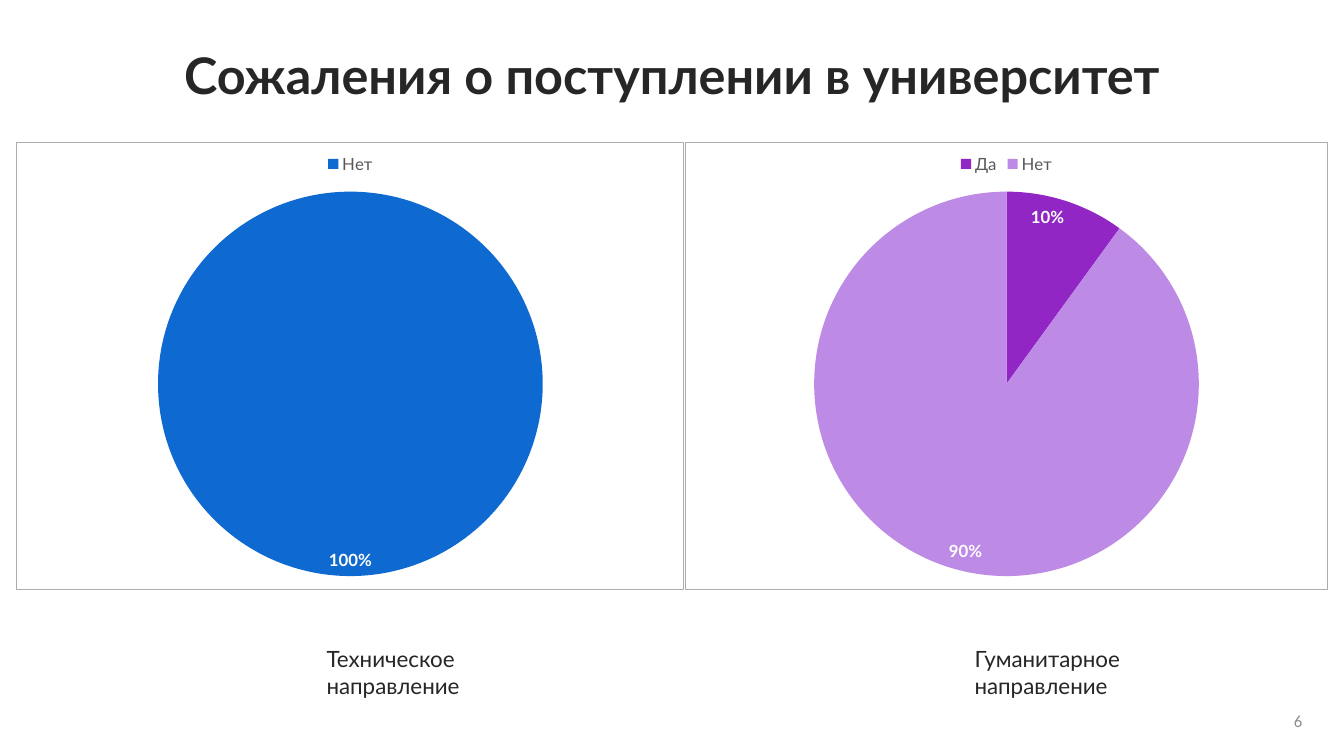
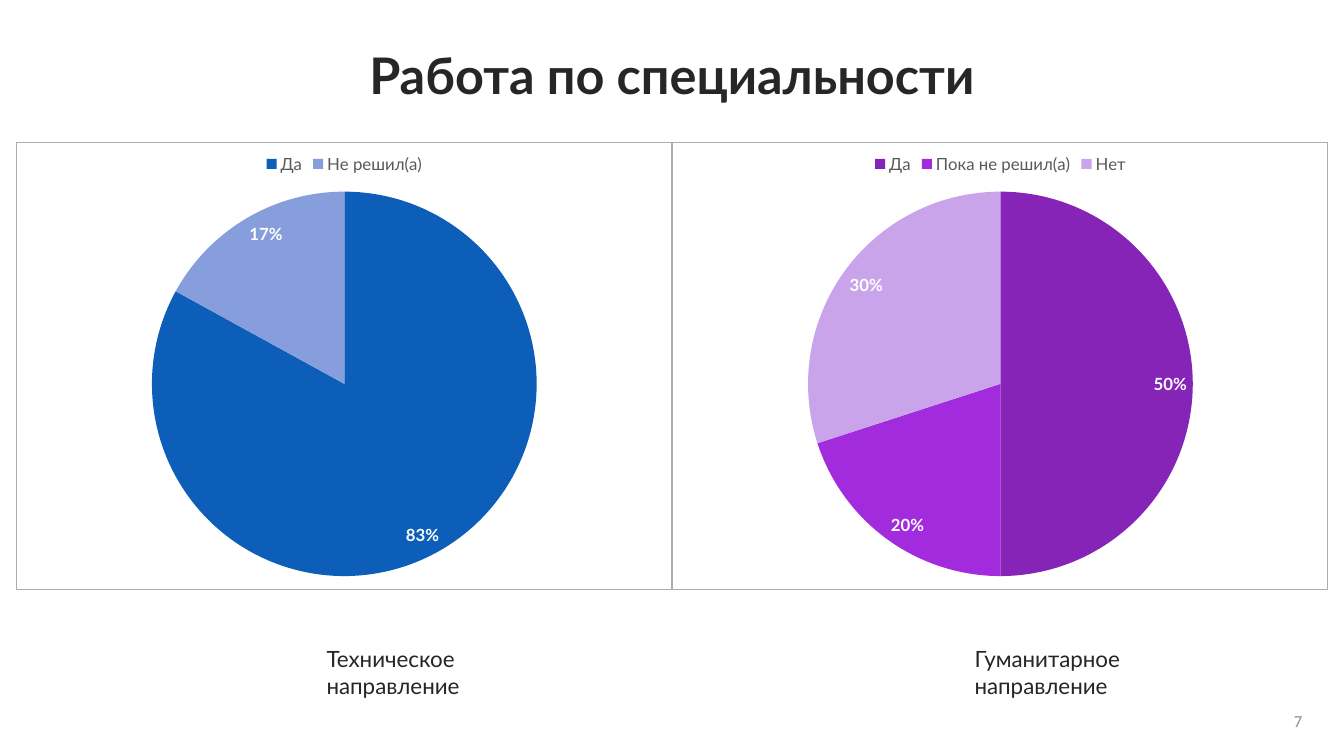
from lxml import etree
from pptx import Presentation
from pptx.chart.data import CategoryChartData
from pptx.dml.color import RGBColor
from pptx.enum.chart import XL_CHART_TYPE as ChartType
from pptx.enum.chart import XL_LABEL_POSITION as LabelPos
from pptx.enum.chart import XL_LEGEND_POSITION as LegendPos
from pptx.enum.text import MSO_ANCHOR as Anchor
from pptx.enum.text import PP_ALIGN as Align
from pptx.oxml import parse_xml
from pptx.oxml.ns import nsdecls, qn
from pptx.util import Cm, Pt

COLORS = {
    "ink": "252625", "number": "8C8C8C", "legend": "595959", "label": "FFFFFF",
    "base": "000000", "frame": "AFABAB",
    "blue": "0E6AD1", "deep blue": "0C5EB9", "pale blue": "879EDD",
    "purple": "9126C5", "soft purple": "BD8AE6",
    "deep purple": "8724B8", "bright purple": "A32BDE", "pale purple": "CAA4EA",
}
TITLE = {"name": "Lato", "size": Pt(36), "bold": True, "color": "ink"}
CAPTION = {"name": "Lato", "size": Pt(16), "color": "ink"}
NUMBER = {"name": "Calibri", "size": Pt(12), "color": "number"}
CHART_TEXT = {"name": "Lato", "size": Pt(10), "color": "base"}
LEGEND = {"name": "Lato", "size": Pt(12), "color": "legend"}
LABEL = {"name": "Lato", "size": Pt(12), "bold": True, "color": "label"}

SLIDE_W, SLIDE_H = 33.87, 19.05
TITLE_BOX = (0, 1.17, SLIDE_W, 1.8)
NUMBER_BOX = (31.37, 17.65, 1.7, 1.02)
CHARTS_BOX = (0.41, 3.58, 33.07, 11.3)
CAPTIONS = [("Техническое направление", (7.98, 16.13, 5.87, 1.63)),
            ("Гуманитарное направление", (24.31, 16.13, 5.87, 1.63))]

# Each slide: title, number, width of the left chart, slices of both charts
SLIDES = [
    ("Сожаления о поступлении в университет", 6, 16.84, [
        [("Нет", 100, "blue")],
        [("Да", 10, "purple"), ("Нет", 90, "soft purple")],
    ]),
    ("Работа по специальности", 7, CHARTS_BOX[2] / 2, [
        [("Да", 83, "deep blue"), ("Не решил(а)", 17, "pale blue")],
        [("Да", 50, "deep purple"), ("Пока не решил(а)", 20, "bright purple"),
         ("Нет", 30, "pale purple")],
    ]),
]


def rgb(key):
    """Return the named palette colour."""
    return RGBColor.from_string(COLORS[key])


def style_font(font, style):
    """Apply a dict of font settings."""
    for key, value in style.items():
        if key == "color":
            font.color.rgb = rgb(value)
        else:
            setattr(font, key, value)


def add_text(slide, box, words, style, align, anchor=Anchor.TOP, spacing=None):
    """Place one wrapped paragraph in the box."""
    frame = slide.shapes.add_textbox(*map(Cm, box)).text_frame
    frame.word_wrap = True
    frame.vertical_anchor = anchor
    paragraph = frame.paragraphs[0]
    paragraph.alignment = align
    paragraph.line_spacing = spacing
    run = paragraph.add_run()
    run.text = words
    style_font(run.font, style)


def frame_chart(chart):
    """Give the chart area a thin square-cornered border."""
    body = chart._chartSpace.find(qn("c:chart"))
    body.addprevious(parse_xml(f'<c:roundedCorners {nsdecls("c")} val="0"/>'))
    area = parse_xml(f'<c:spPr {nsdecls("c", "a")}><a:noFill/></c:spPr>')
    line = etree.SubElement(area, qn("a:ln"), w=str(Pt(0.75)))
    fill = etree.SubElement(line, qn("a:solidFill"))
    etree.SubElement(fill, qn("a:srgbClr"), val=COLORS["frame"])
    body.addnext(area)


def add_pie(slide, box, slices):
    """Fill the box with a pie of (name, percent, colour) slices."""
    names, percents, colors = zip(*slices)
    data = CategoryChartData()
    data.categories = names
    data.add_series("Series 1", percents)
    chart = slide.shapes.add_chart(ChartType.PIE, *map(Cm, box), data).chart
    frame_chart(chart)
    style_font(chart.font, CHART_TEXT)
    chart.has_title = False
    chart.has_legend = True
    chart.legend.position = LegendPos.TOP
    chart.legend.include_in_layout = False
    style_font(chart.legend.font, LEGEND)

    pie = chart.plots[0]
    pie.vary_by_categories = True
    for index, color in enumerate(colors):
        fill = pie.series[0].points[index].format.fill
        fill.solid()
        fill.fore_color.rgb = rgb(color)
    labels = pie.series[0].data_labels
    settings = {"show_percentage": True, "show_value": False,
                "number_format": "0%", "number_format_is_linked": False,
                "position": LabelPos.INSIDE_END}
    for key, value in settings.items():
        setattr(labels, key, value)
    style_font(labels.font, LABEL)


def add_pies(slide, box, split, pies):
    """Set two pies side by side in the box, the left one split wide."""
    left, top, width, height = box
    add_pie(slide, (left, top, split, height), pies[0])
    add_pie(slide, (left + split, top, width - split, height), pies[1])


def add_comparison(deck, title, number, split, pies):
    """Add a slide that compares the two fields of study."""
    slide = deck.slides.add_slide(deck.slide_layouts[6])
    add_text(slide, TITLE_BOX, title, TITLE, Align.CENTER, spacing=0.9)
    add_text(slide, NUMBER_BOX, str(number), NUMBER, Align.RIGHT, Anchor.MIDDLE)
    add_pies(slide, CHARTS_BOX, split, pies)
    for caption, box in CAPTIONS:
        add_text(slide, box, caption, CAPTION, Align.JUSTIFY)


deck = Presentation()
deck.slide_width, deck.slide_height = Cm(SLIDE_W), Cm(SLIDE_H)
for content in SLIDES:
    add_comparison(deck, *content)
deck.save("out.pptx")
